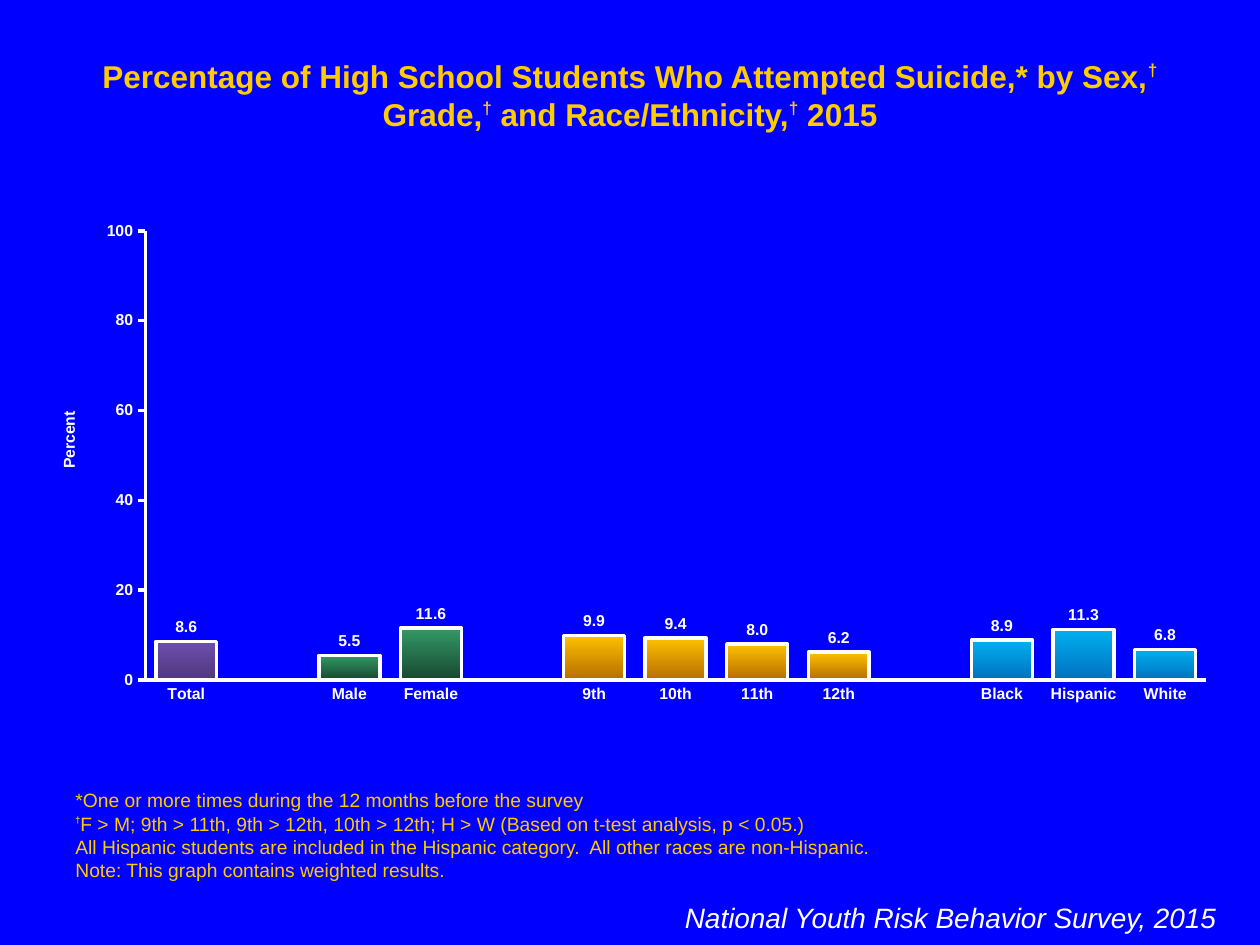
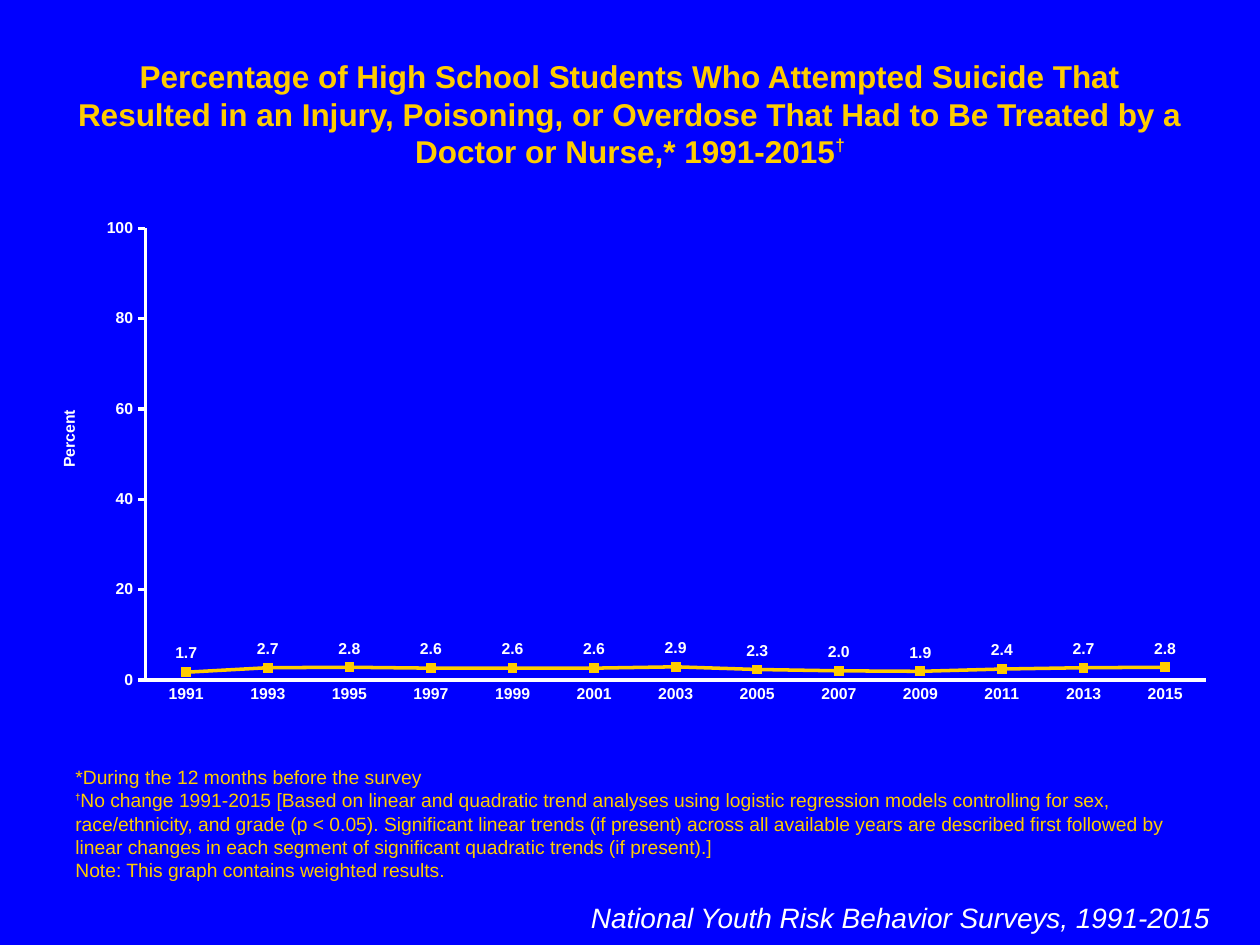
from lxml import etree
from pptx import Presentation
from pptx import util as u
from pptx.chart.data import CategoryChartData
from pptx.dml.color import RGBColor
from pptx.enum import chart as ch
from pptx.enum import text as t
from pptx.oxml.ns import qn

FONT = "Arial"
BLUE, GOLD, WHITE = "0000FF", "FFCC00", "FFFFFF"
PURPLE_FADE = ("6E4EAE", "4F387C")
GREEN_FADE = ("339966", "18472F")
AMBER_FADE = ("FFC000", "B66D00")
SKY_FADE = ("00B0F0", "0070C0")

# Boxes in centimetres: left, top, width, height
TITLE_BOX = (1.27, 1.02, 22.86, 1.02)
FOOTNOTE_BOX = (1.27, 17.15, 22.86, 0.74)
WEIGHTED_NOTE = "Note: This graph contains weighted results."


def color(hex_code):
    return RGBColor.from_string(hex_code)


def cm(box):
    return [u.Cm(length) for length in box]


def style(font, size, hex_code=WHITE, bold=False, italic=False):
    font.name, font.size = FONT, u.Pt(size)
    font.bold, font.italic = bold, italic
    font.color.rgb = color(hex_code)


# Text regions
def add_text_box(slide, box, anchor=t.MSO_ANCHOR.TOP):
    frame = slide.shapes.add_textbox(*cm(box)).text_frame
    frame.word_wrap = True
    frame.auto_size = t.MSO_AUTO_SIZE.SHAPE_TO_FIT_TEXT
    frame.vertical_anchor = anchor
    return frame


def add_runs(paragraph, text, size, bold, dagger_size, dagger_raise):
    """Write gold text, raising each dagger by a percentage of its size."""
    def add_run(content, run_size, run_bold):
        run = paragraph.add_run()
        run.text = content
        style(run.font, run_size, GOLD, run_bold)
        return run

    for index, piece in enumerate(text.split("†")):
        if index:
            dagger = add_run("†", dagger_size, True)
            dagger.font._element.set("baseline", str(dagger_raise * 1000))
        if piece:
            add_run(piece, size, bold)


def add_title(slide, box, text):
    paragraph = add_text_box(slide, box).paragraphs[0]
    paragraph.alignment = t.PP_ALIGN.CENTER
    add_runs(paragraph, text, 18, True, 17, 40)


def add_footnotes(slide, box, notes):
    frame = add_text_box(slide, box, t.MSO_ANCHOR.BOTTOM)
    for index, note in enumerate(notes):
        paragraph = frame.add_paragraph() if index else frame.paragraphs[0]
        add_runs(paragraph, note, 11, False, 9, 50)


def add_survey_name(slide, box, text):
    paragraph = add_text_box(slide, box).paragraphs[0]
    paragraph.text = text
    paragraph.alignment = t.PP_ALIGN.RIGHT
    style(paragraph.runs[0].font, 16, italic=True)


# Charts
def set_layout(parent, index, **settings):
    """Fix the place of a chart part, as fractions of the chart."""
    for old_layout in parent.findall(qn("c:layout")):
        parent.remove(old_layout)
    layout = etree.Element(qn("c:layout"))
    manual = etree.SubElement(layout, qn("c:manualLayout"))
    for name, value in settings.items():
        etree.SubElement(manual, qn("c:" + name)).set("val", str(value))
    parent.insert(index, layout)


def style_axis(axis, tick_mark):
    axis.has_major_gridlines = False
    axis.major_tick_mark = tick_mark
    axis.minor_tick_mark = ch.XL_TICK_MARK.NONE
    axis.format.line.color.rgb = color(WHITE)
    axis.format.line.width = u.Pt(2)
    style(axis.tick_labels.font, 9, bold=True)


def add_percent_chart(slide, box, chart_type, categories, values, label_position):
    """Add a one-series chart on a 0 to 100 scale and return its plot."""
    data = CategoryChartData()
    data.categories = categories
    data.add_series("Series 1", values)
    chart = slide.shapes.add_chart(chart_type, *cm(box), data).chart
    chart.has_title = chart.has_legend = False
    style(chart.font, 18)

    # Axes
    style_axis(chart.category_axis, ch.XL_TICK_MARK.NONE)
    percent_axis = chart.value_axis
    style_axis(percent_axis, ch.XL_TICK_MARK.OUTSIDE)
    percent_axis.minimum_scale, percent_axis.maximum_scale = 0, 100
    percent_axis.major_unit = 20
    percent_axis.tick_labels.number_format = "#,##0"
    percent_axis.tick_labels.number_format_is_linked = False

    # Axis title, turned upright
    axis_title = percent_axis.axis_title
    axis_title.text_frame.text = "Percent"
    style(axis_title.text_frame.paragraphs[0].runs[0].font, 9, bold=True)
    title_element = axis_title._element
    title_element.find(".//" + qn("a:bodyPr")).set("rot", "-5400000")
    set_layout(title_element, 1, xMode="edge", yMode="edge", x=0.02, y=0.39)
    plot_area = chart._chartSpace.find(".//" + qn("c:plotArea"))
    set_layout(plot_area, 0, layoutTarget="inner", xMode="edge", yMode="edge",
               x=0.095, y=0.036, w=0.886, h=0.896)

    # Value labels
    plot = chart.plots[0]
    plot.vary_by_categories = False
    plot.has_data_labels = True
    labels = plot.data_labels
    labels.show_value = True
    labels.number_format = "#,##0.0"
    labels.number_format_is_linked = False
    labels.position = label_position
    style(labels.font, 9, bold=True)
    return plot


def add_group_columns(slide, box, groups):
    """Draw one fade per group, with an empty slot between groups."""
    columns = []
    for fade, members in groups:
        if columns:
            columns.append(("", None, None))
        columns += [(name, value, fade) for name, value in members]
    names, values, fades = zip(*columns)
    plot = add_percent_chart(slide, box, ch.XL_CHART_TYPE.COLUMN_CLUSTERED,
                             names, values, ch.XL_LABEL_POSITION.OUTSIDE_END)
    plot.gap_width, plot.overlap = 34, 100
    for index, fade in enumerate(fades):
        if fade is None:
            continue
        column = plot.series[0].points[index].format
        column.fill.gradient()
        column.fill.gradient_angle = 270
        for stop, hex_code in zip(column.fill.gradient_stops, fade):
            stop.color.rgb = color(hex_code)
        column.line.color.rgb = color(WHITE)
        column.line.width = u.Pt(2)


def add_trend_line(slide, box, years, values):
    plot = add_percent_chart(slide, box, ch.XL_CHART_TYPE.LINE_MARKERS,
                             [str(year) for year in years], values,
                             ch.XL_LABEL_POSITION.ABOVE)
    trend = plot.series[0]
    trend.smooth = False
    trend.format.line.color.rgb = color(GOLD)
    trend.format.line.width = u.Pt(2)
    trend.marker.style = ch.XL_MARKER_STYLE.SQUARE
    trend.marker.size = 5
    trend.marker.format.fill.solid()
    trend.marker.format.fill.fore_color.rgb = color(GOLD)
    trend.marker.format.line.color.rgb = color(GOLD)


# Slides
def add_survey_slide(presentation, title, footnotes, survey_name, survey_box):
    slide = presentation.slides.add_slide(presentation.slide_layouts[6])
    slide.background.fill.solid()
    slide.background.fill.fore_color.rgb = color(BLUE)
    add_title(slide, TITLE_BOX, title)
    add_footnotes(slide, FOOTNOTE_BOX, footnotes + [WEIGHTED_NOTE])
    add_survey_name(slide, survey_box, survey_name)
    return slide


def add_group_slide(presentation):
    slide = add_survey_slide(
        presentation,
        "Percentage of High School Students Who Attempted Suicide,* by Sex,†"
        " Grade,† and Race/Ethnicity,† 2015",
        ["*One or more times during the 12 months before the survey",
         "†F > M; 9th > 11th, 9th > 12th, 10th > 12th; H > W "
         "(Based on t-test analysis, p < 0.05.)",
         "All Hispanic students are included in the Hispanic category.  "
         "All other races are non-Hispanic."],
        "National Youth Risk Behavior Survey, 2015",
        (10.8, 18.03, 13.97, 0.94))
    add_group_columns(slide, (0.64, 4.29, 24.13, 10.11), [
        (PURPLE_FADE, [("Total", 8.6)]),
        (GREEN_FADE, [("Male", 5.5), ("Female", 11.6)]),
        (AMBER_FADE, [("9th", 9.9), ("10th", 9.4), ("11th", 8.0), ("12th", 6.2)]),
        (SKY_FADE, [("Black", 8.9), ("Hispanic", 11.3), ("White", 6.8)]),
    ])


def add_trend_slide(presentation):
    slide = add_survey_slide(
        presentation,
        "Percentage of High School Students Who Attempted Suicide That "
        "Resulted in an Injury, Poisoning, or Overdose That Had to Be "
        "Treated by a Doctor or Nurse,* 1991-2015†",
        ["*During the 12 months before the survey",
         "†No change 1991-2015 [Based on linear and quadratic trend analyses "
         "using logistic regression models controlling for sex, "
         "race/ethnicity, and grade (p < 0.05). Significant linear trends "
         "(if present) across all available years are described first "
         "followed by linear changes in each segment of significant "
         "quadratic trends (if present).]"],
        "National Youth Risk Behavior Surveys, 1991-2015",
        (11.51, 18.03, 13.13, 0.94))
    add_trend_line(slide, (0.64, 4.24, 24.13, 10.16), range(1991, 2016, 2),
                   [1.7, 2.7, 2.8, 2.6, 2.6, 2.6, 2.9,
                    2.3, 2.0, 1.9, 2.4, 2.7, 2.8])


def main():
    presentation = Presentation()
    presentation.slide_width, presentation.slide_height = u.Cm(25.4), u.Cm(19.05)
    add_group_slide(presentation)
    add_trend_slide(presentation)
    presentation.save("out.pptx")


if __name__ == "__main__":
    main()
